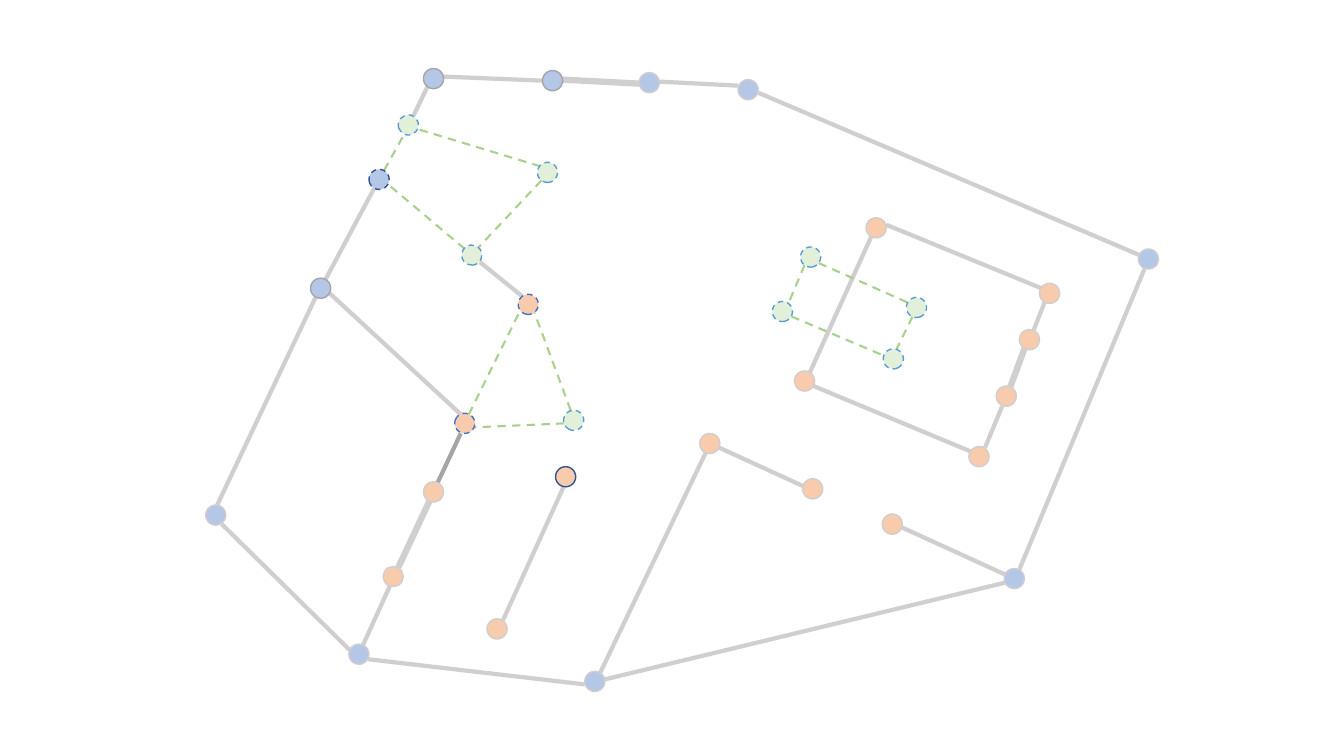
import pptx
import pptx.util
import pptx.dml.color
import pptx.enum.dml
import pptx.enum.shapes
from lxml import etree

RGBColor = pptx.dml.color.RGBColor
Cm, Pt = pptx.util.Cm, pptx.util.Pt
BLUE = RGBColor(0xB4, 0xC7, 0xE7)
ORANGE = RGBColor(0xF8, 0xCB, 0xAD)
PALE_GREEN = RGBColor(0xE2, 0xF0, 0xD9)
GREEN = RGBColor(0xA9, 0xD1, 0x8E)
LIGHT_GREY = RGBColor(0xD0, 0xCE, 0xCE)
GREY = RGBColor(0xA5, 0xA5, 0xA5)
NAVY = RGBColor(0x32, 0x54, 0x91)
ROYAL = RGBColor(0x44, 0x72, 0xC4)
SKY = RGBColor(0x5B, 0x9B, 0xD5)

CM_PER_UNIT = 2.54   # plan coordinates are on an inch grid
NODE_SIZE = 0.2

# Edges: (colour, points wide, dashed, [(x1, y1, x2, y2), ...])
EDGE_GROUPS = [
    (LIGHT_GREY, 3, False, [
        # outer boundary
        (3.23, 2.77, 3.71, 1.87), (6, 6.74, 9.97, 5.78),
        (3.13, 2.95, 2.15, 5.02), (3.65, 6.54, 5.8, 6.79),
        (10.11, 5.65, 11.35, 2.67), (11.3, 2.53, 7.52, 0.92),
        (5.38, 0.8, 4.4, 0.76), (3.47, 6.45, 2.2, 5.2),
        (7.32, 0.85, 6.54, 0.81), (4.24, 0.86, 4.1, 1.15),
        # inner walls
        (4.57, 4.11, 3.27, 2.91), (7.96, 4.82, 7.13, 4.44),
        (5.95, 6.68, 7, 4.49), (3.6, 6.4, 3.95, 5.63),
        (4.99, 6.15, 5.59, 4.83), (9.97, 5.7, 8.94, 5.23),
        (5.18, 2.94, 4.76, 2.6),
        # inner room
        (9.77, 4.44, 9.94, 4.03), (9.63, 4.48, 8.07, 3.83),
        (8.03, 3.7, 8.64, 2.35), (10.33, 2.86, 8.79, 2.23),
        (10.25, 3.28, 10.36, 3),
    ]),
    (GREY, 3, False, [(4.34, 4.79, 4.57, 4.3)]),
    (LIGHT_GREY, 4.5, False, [
        (3.95, 5.63, 4.26, 4.97), (10.02, 3.84, 10.16, 3.46),
        (5.58, 0.79, 6.34, 0.83),
    ]),
    (GREEN, 1.5, True, [
        (4.61, 2.47, 3.85, 1.83), (3.81, 1.69, 4.01, 1.33),
        (5.36, 1.65, 4.14, 1.28), (5.37, 1.79, 4.75, 2.45),
        (9.05, 3.14, 8.89, 3.47), (7.85, 3.14, 8.77, 3.53),
        (7.98, 2.63, 7.82, 3.01), (8.12, 2.61, 9, 3),
        (5.6, 4.2, 4.7, 4.24), (5.66, 4.07, 5.3, 3.1),
        (4.65, 4.11, 5.16, 3.08),
    ]),
]

# Nodes: (fill, outline, dashed, [(left, top, rotation), ...])
NODE_GROUPS = [
    (BLUE, LIGHT_GREY, False, [
        (7.32, 0.79, 18.5), (3.46, 6.39, 342), (2.04, 5.01, 9),
        (9.96, 5.64, 25.7), (11.29, 2.47, 68.9), (5.8, 6.66, 345.6),
        (6.34, 0.72, 38.9),
    ]),
    (BLUE, GREY, False, [
        (3.08, 2.76, 28.5), (4.2, 0.68, 349.8), (5.38, 0.7, 88.3),
    ]),
    (BLUE, NAVY, True, [(3.66, 1.68, 345.4)]),
    (ORANGE, LIGHT_GREY, False, [
        (4.83, 6.14, 32.2), (6.94, 4.3, 69.8), (7.88, 3.68, 29.7),
        (9.61, 4.43, 29.7), (10.31, 2.81, 29.7), (8.59, 2.16, 29.7),
        (7.96, 4.75, 20.9), (8.75, 5.1, 20.9), (3.8, 5.62, 30),
        (4.2, 4.78, 25), (10.11, 3.27, 25.9), (9.88, 3.83, 20.8),
    ]),
    (ORANGE, NAVY, False, [(5.51, 4.63, 60.6)]),
    (ORANGE, ROYAL, True, [(4.51, 4.1, 20.9), (5.14, 2.92, 276.5)]),
    (PALE_GREEN, SKY, True, [
        (3.95, 1.14, 340.8), (5.33, 1.61, 265.9), (4.58, 2.43, 264.2),
        (7.66, 2.99, 256.5), (7.94, 2.45, 258.7), (8.99, 2.95, 250.5),
        (8.76, 3.46, 242.1), (5.59, 4.07, 296.2),
    ]),
]


def length(units):
    return Cm(units * CM_PER_UNIT)


def style_line(line, colour, width, dashed):
    line.color.rgb = colour
    line.width = Pt(width)
    if dashed:
        line.dash_style = pptx.enum.dml.MSO_LINE.DASH


def add_edge(page, ends, colour, width, dashed):
    edge = page.shapes.add_connector(
        pptx.enum.shapes.MSO_CONNECTOR.STRAIGHT, *map(length, ends))
    style_line(edge.line, colour, width, dashed)
    etree.SubElement(edge.element.spPr, pptx.oxml.ns.qn("a:effectLst"))


def add_node(page, left, top, rotation, fill, outline, dashed):
    node = page.shapes.add_shape(
        pptx.enum.shapes.MSO_SHAPE.OVAL,
        *map(length, (left, top, NODE_SIZE, NODE_SIZE)))
    node.rotation = rotation
    node.shadow.inherit = False
    node.fill.solid()
    node.fill.fore_color.rgb = fill
    style_line(node.line, outline, 1, dashed)


def main():
    deck = pptx.Presentation()
    deck.slide_width, deck.slide_height = length(13.33), length(7.5)
    page = deck.slides.add_slide(deck.slide_layouts[6])

    # Edges lie beneath the nodes
    for colour, width, dashed, edges in EDGE_GROUPS:
        for ends in edges:
            add_edge(page, ends, colour, width, dashed)
    for fill, outline, dashed, nodes in NODE_GROUPS:
        for left, top, rotation in nodes:
            add_node(page, left, top, rotation, fill, outline, dashed)

    deck.save("out.pptx")


if __name__ == "__main__":
    main()
